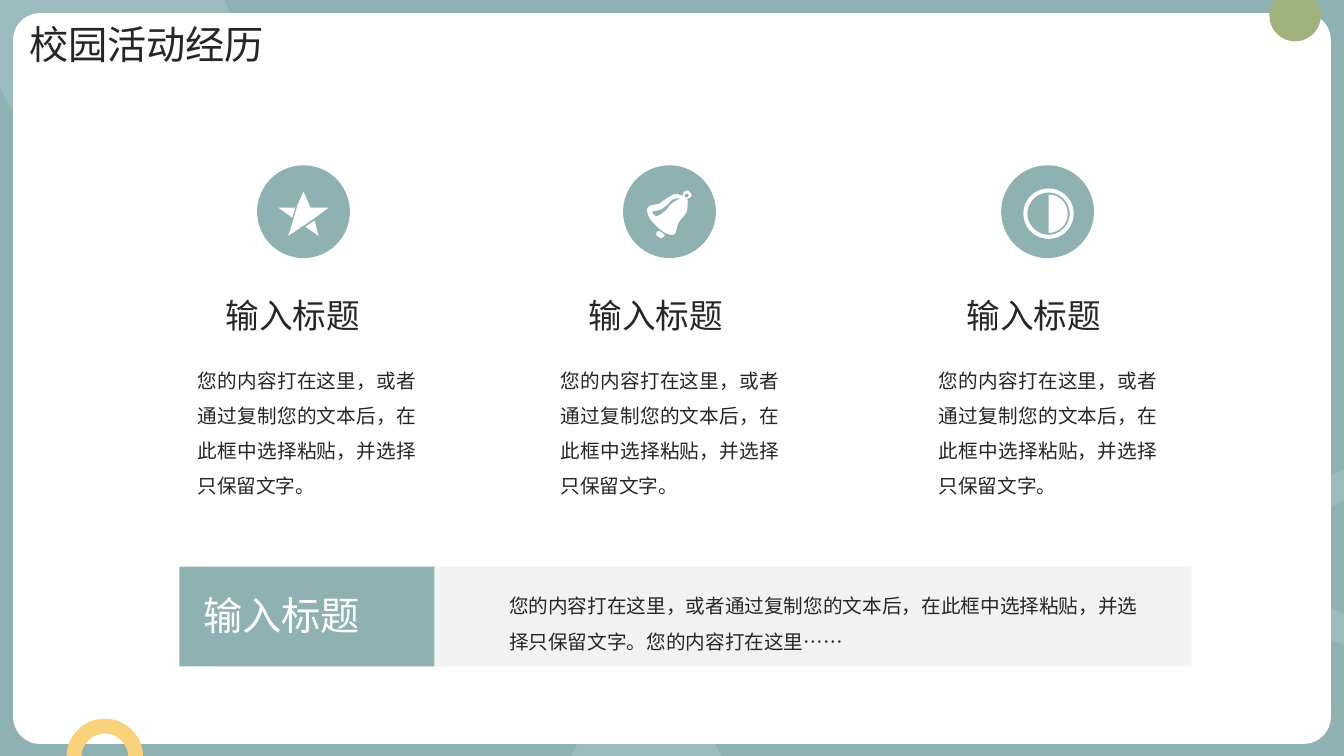
import math
from dataclasses import dataclass

import pptx
import pptx.dml.color
import pptx.enum.shapes
import pptx.enum.text
import pptx.util

SHAPES = pptx.enum.shapes.MSO_SHAPE
ALIGN = pptx.enum.text.PP_ALIGN
Inches = pptx.util.Inches


@dataclass(frozen=True)
class Theme:
    font: str = "Calibri"
    teal: str = "8FB1B1"
    pale_teal: str = "9CBBBC"
    green: str = "9FB27C"
    yellow: str = "F9D27B"
    white: str = "FFFFFF"
    grey: str = "F2F2F2"
    ink: str = "262626"
    title: int = 28
    heading: int = 24
    body: int = 14


class SlideBuilder:
    def __init__(self, slide, theme):
        self.slide = slide
        self.theme = theme

    def paint(self, shape, color):
        shape.shadow.inherit = False
        shape.fill.solid()
        shape.fill.fore_color.rgb = pptx.dml.color.RGBColor.from_string(color)
        shape.line.fill.background()

    def shape(self, kind, left, top, width, height, color, adjust=None):
        shape = self.slide.shapes.add_shape(
            kind, Inches(left), Inches(top), Inches(width), Inches(height))
        if adjust is not None:
            shape.adjustments[0] = adjust
        self.paint(shape, color)

    def round(self, left, top, size, color, ring=None):
        kind = SHAPES.OVAL if ring is None else SHAPES.DONUT
        self.shape(kind, left, top, size, size, color, ring)

    def outline(self, contours, color):
        """Draw closed contours, given in inches, as one shape."""
        scaled = [[(Inches(x), Inches(y)) for x, y in contour] for contour in contours]
        builder = self.slide.shapes.build_freeform(*scaled[0][0])
        for index, contour in enumerate(scaled):
            if index:
                builder.move_to(*contour[0])
            builder.add_line_segments(contour[1:], close=True)
        self.paint(builder.convert_to_shape(), color)

    def text(self, words, left, top, width, height, size, color,
             align=ALIGN.JUSTIFY, spacing=None):
        box = self.slide.shapes.add_textbox(
            Inches(left), Inches(top), Inches(width), Inches(height))
        frame = box.text_frame
        frame.word_wrap = True
        frame.auto_size = pptx.enum.text.MSO_AUTO_SIZE.SHAPE_TO_FIT_TEXT
        para = frame.paragraphs[0]
        para.alignment = align
        if spacing:
            para.line_spacing = spacing
        span = para.add_run()
        span.text = words
        span.font.name = self.theme.font
        span.font.size = pptx.util.Pt(size)
        span.font.color.rgb = pptx.dml.color.RGBColor.from_string(color)


def arc(center_x, center_y, radius, start=0, sweep=360, steps=36):
    angles = [math.radians(start + sweep * step / steps) for step in range(steps + 1)]
    return [(center_x + radius * math.cos(angle), center_y + radius * math.sin(angle))
            for angle in angles]


def smooth(points, steps=5):
    """Closed Catmull-Rom curve through the points."""
    curve = []
    count = len(points)
    for index in range(count):
        a, b, c, d = (points[(index + shift) % count] for shift in (-1, 0, 1, 2))
        for step in range(steps):
            t = step / steps
            curve.append(tuple(
                b[k] + 0.5 * t * (c[k] - a[k]
                                  + t * (2 * a[k] - 5 * b[k] + 4 * c[k] - d[k]
                                         + t * (3 * (b[k] - c[k]) + d[k] - a[k])))
                for k in (0, 1)))
    return curve


def star_contours():
    return [
        [(3.14, 2.15), (3.26, 2.06), (3.08, 2.06), (3.01, 1.9), (2.95, 2.04),
         (2.91, 2.18), (2.86, 2.34), (2.98, 2.26)],
        [(2.93, 2.06), (2.76, 2.06), (2.9, 2.16)],
        [(3.03, 2.25), (3.16, 2.34), (3.12, 2.19)],
    ]


def bell_contours():
    body = [(6.77, 1.94), (6.73, 1.93), (6.68, 1.93), (6.58, 1.99), (6.54, 2.02),
            (6.49, 2.03), (6.45, 2.04), (6.42, 2.07), (6.43, 2.14), (6.48, 2.21),
            (6.58, 2.3), (6.66, 2.33), (6.7, 2.31), (6.72, 2.23), (6.75, 2.18),
            (6.81, 2.1), (6.82, 1.99), (6.81, 1.98), (6.86, 1.94), (6.82, 1.89),
            (6.78, 1.91)]
    stripe = [(6.74, 1.97), (6.66, 2.02), (6.6, 2.09), (6.53, 2.14), (6.5, 2.14),
              (6.47, 2.1), (6.55, 2.08), (6.62, 2.03), (6.67, 1.98)]
    clapper = [(6.59, 2.33), (6.53, 2.29), (6.51, 2.33), (6.55, 2.36), (6.58, 2.35)]
    return [smooth(body), smooth(stripe), arc(6.81, 1.94, 0.02), smooth(clapper)]


def contrast_contours():
    x, y = 10.4, 2.12
    return [arc(x, y, 0.25), arc(x, y, 0.21), arc(x, y, 0.19, -90, 180)]


def main():
    deck = pptx.Presentation()
    deck.slide_width, deck.slide_height = Inches(13.33), Inches(7.5)
    theme = Theme()
    page = SlideBuilder(deck.slides.add_slide(deck.slide_layouts[6]), theme)

    # Frame and corner ornaments
    page.shape(SHAPES.RECTANGLE, 0, 0, 13.33, 7.5, theme.teal)
    page.round(-0.08, -0.77, 2.39, theme.pale_teal)
    page.round(5.6, 7.01, 1.62, theme.pale_teal)
    page.round(12.66, 4.64, 1.78, theme.pale_teal, ring=0.16)
    page.shape(SHAPES.ROUNDED_RECTANGLE, 0.13, 0.13, 13.07, 7.25, theme.white, 0.037)
    page.round(12.59, -0.1, 0.51, theme.green)
    page.round(0.66, 7.13, 0.76, theme.yellow, ring=0.195)

    # Title
    page.text("校园活动经历", 0.19, 0.15, 2.96, 0.57, theme.title, theme.ink)

    # Three columns: badge, icon, heading, description
    heading = "输入标题"
    description = "您的内容打在这里，或者通过复制您的文本后，在此框中选择粘贴，并选择只保留文字。"
    columns = [(1.86, 2.55, star_contours()), (5.46, 6.18, bell_contours()),
               (9.21, 9.93, contrast_contours())]
    for text_left, badge_left, icon in columns:
        page.round(badge_left, 1.64, 0.92, theme.teal)
        page.outline(icon, theme.white)
        page.text(heading, text_left + 0.28, 2.88, 1.79, 0.5, theme.heading, theme.ink)
        page.text(description, text_left, 3.49, 2.37, 1.51, theme.body, theme.ink,
                  spacing=1.5)

    # Summary band
    page.shape(SHAPES.RECTANGLE, 2.11, 5.62, 9.71, 0.99, theme.grey)
    page.shape(SHAPES.RECTANGLE, 1.78, 5.62, 2.53, 0.99, theme.teal)
    page.text(heading, 1.92, 5.82, 2.23, 0.57, theme.title, theme.white)
    page.text(description + "您的内容打在这里……", 4.95, 5.73, 6.45, 0.77,
              theme.body, theme.ink, ALIGN.LEFT, 1.5)

    deck.save("out.pptx")


if __name__ == "__main__":
    main()
